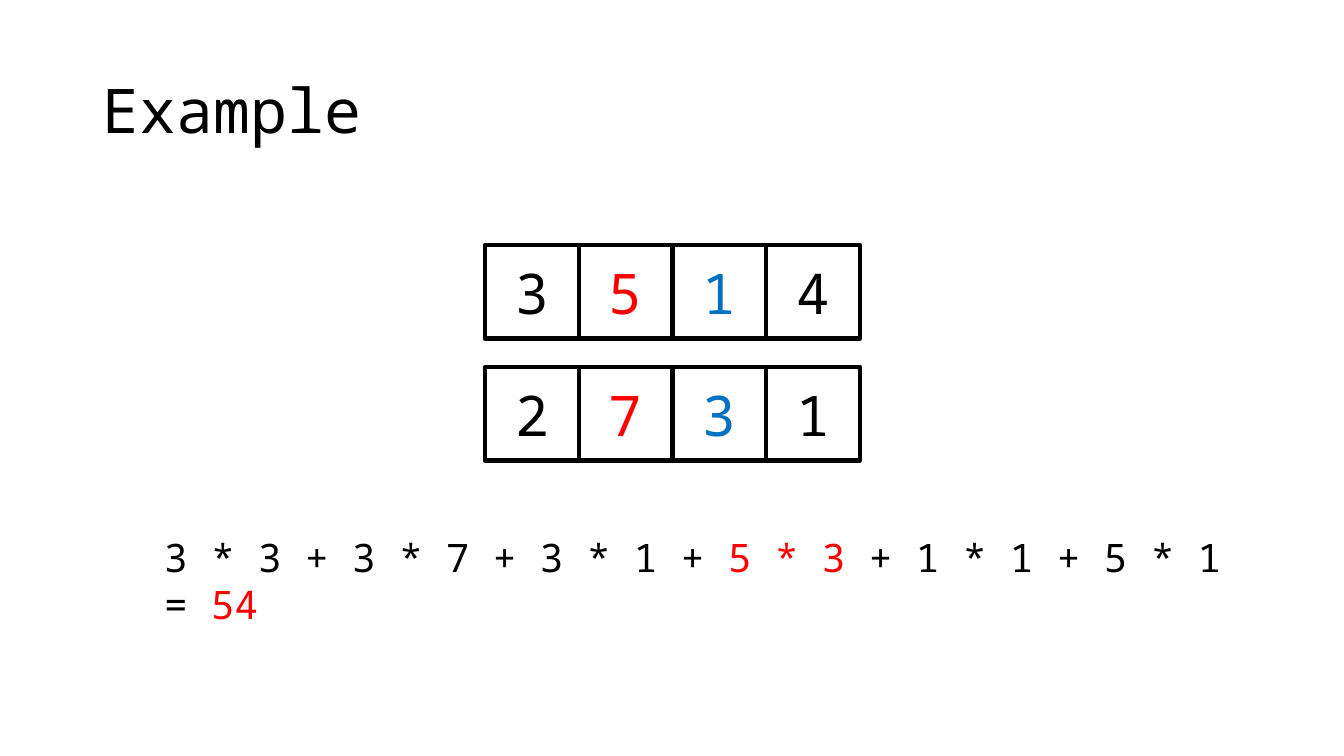
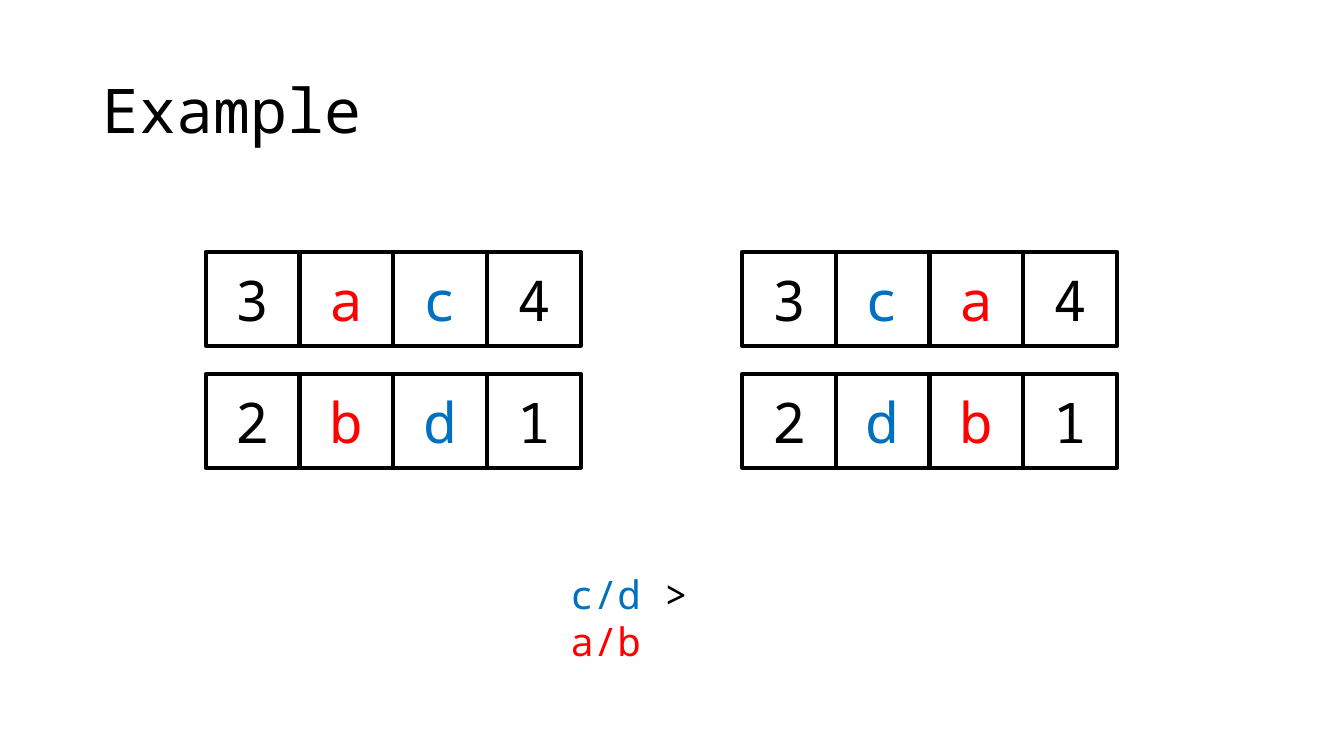
from dataclasses import dataclass

from pptx import Presentation
from pptx.dml.color import RGBColor
from pptx.enum.shapes import MSO_SHAPE
from pptx.enum.text import MSO_ANCHOR, MSO_AUTO_SIZE, PP_ALIGN
from pptx.presentation import Presentation as Deck
from pptx.slide import Slide
from pptx.util import Emu, Pt

BLACK = RGBColor(0x00, 0x00, 0x00)
WHITE = RGBColor(0xFF, 0xFF, 0xFF)
RED = RGBColor(0xFF, 0x00, 0x00)
BLUE = RGBColor(0x00, 0x70, 0xC0)

RECT = MSO_SHAPE.RECTANGLE
MIDDLE, TOP = MSO_ANCHOR.MIDDLE, MSO_ANCHOR.TOP
LEFT, CENTER = PP_ALIGN.LEFT, PP_ALIGN.CENTER
FIT_SHAPE = MSO_AUTO_SIZE.SHAPE_TO_FIT_TEXT

FONT = "Noto Sans Mono"
EMU_PER_PX = 9144  # 100 px to the inch
CELL = 93
ROW_PITCH = 121
TITLE_ONLY = 5


@dataclass(frozen=True)
class Span:
    text: str
    color: RGBColor = BLACK


@dataclass(frozen=True)
class Grid:
    left: int
    top: int
    rows: tuple[str, ...]
    colors: tuple[RGBColor, ...]


@dataclass(frozen=True)
class Formula:
    left: int
    top: int
    width: int
    spans: tuple[Span, ...]


@dataclass(frozen=True)
class Example:
    grids: tuple[Grid, ...]
    formula: Formula


RED_FIRST = (BLACK, RED, BLUE, BLACK)
BLUE_FIRST = (BLACK, BLUE, RED, BLACK)

EXAMPLES = (
    Example(
        (Grid(481, 243, ("3514", "2731"), RED_FIRST),),
        Formula(153, 524, 1098, (
            Span("3 * 3 + 3 * 7 + 3 * 1 + "),
            Span("5 * 3 ", RED),
            Span("+ 1 * 1 + 5 * 1 = "),
            Span("54", RED),
        )),
    ),
    Example(
        (
            Grid(204, 250, ("3ac4", "2bd1"), RED_FIRST),
            Grid(736, 250, ("3ca4", "2db1"), BLUE_FIRST),
        ),
        Formula(556, 561, 221, (
            Span("c/d ", BLUE),
            Span(">"),
            Span(" a/b", RED),
        )),
    ),
)


def px(n: int) -> Emu:
    return Emu(n * EMU_PER_PX)


def write(p, spans: tuple[Span, ...], size: int, align: PP_ALIGN) -> None:
    """Fill a paragraph with coloured runs."""
    p.alignment = align
    for span in spans:
        r = p.add_run()
        r.text = span.text
        r.font.name = FONT
        r.font.size = Pt(size)
        r.font.color.rgb = span.color


def add_title(slide: Slide, text: str) -> None:
    sp = slide.shapes.title
    sp.left, sp.top, sp.width, sp.height = px(92), px(40), px(1150), px(145)
    tf = sp.text_frame
    tf.vertical_anchor = MIDDLE
    p = tf.paragraphs[0]
    p.line_spacing = 0.9
    write(p, (Span(text),), 44, LEFT)


def add_grid(slide: Slide, grid: Grid) -> None:
    """Draw each row as a group of touching square cells."""
    for i, row in enumerate(grid.rows):
        group = slide.shapes.add_group_shape()
        top = grid.top + i * ROW_PITCH
        for j, (letter, color) in enumerate(zip(row, grid.colors)):
            sp = group.shapes.add_shape(
                RECT, px(grid.left + j * CELL), px(top), px(CELL), px(CELL))
            sp.shadow.inherit = False
            sp.fill.solid()
            sp.fill.fore_color.rgb = WHITE
            sp.line.color.rgb = BLACK
            sp.line.width = Pt(3)
            tf = sp.text_frame
            tf.vertical_anchor = MIDDLE
            write(tf.paragraphs[0], (Span(letter, color),), 40, CENTER)


def add_formula(slide: Slide, formula: Formula) -> None:
    sp = slide.shapes.add_textbox(
        px(formula.left), px(formula.top), px(formula.width), px(57))
    tf = sp.text_frame
    tf.word_wrap = True
    tf.auto_size = FIT_SHAPE
    tf.vertical_anchor = TOP
    write(tf.paragraphs[0], formula.spans, 28, LEFT)


def add_example(prs: Deck, example: Example) -> None:
    slide = prs.slides.add_slide(prs.slide_layouts[TITLE_ONLY])
    add_title(slide, "Example")
    for grid in example.grids:
        add_grid(slide, grid)
    add_formula(slide, example.formula)


def main() -> None:
    prs = Presentation()
    prs.slide_width, prs.slide_height = px(1333), px(750)
    for example in EXAMPLES:
        add_example(prs, example)
    prs.save("out.pptx")


if __name__ == "__main__":
    main()
